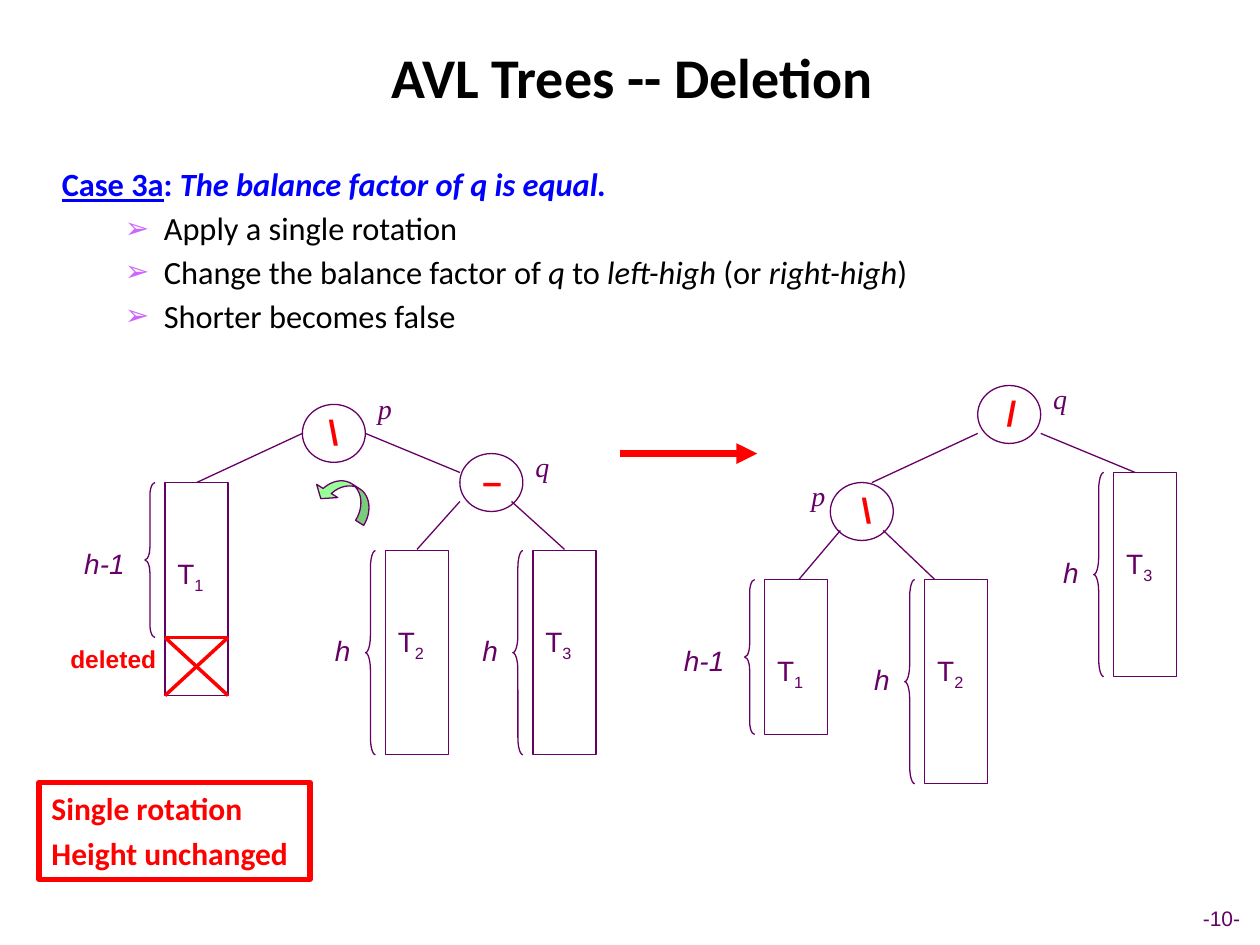
import pptx
import pptx.dml.color
import pptx.enum.shapes
import pptx.enum.text
import pptx.oxml
import pptx.oxml.ns
import pptx.util
from pptx.util import Inches

RGBColor = pptx.dml.color.RGBColor
SHAPE = pptx.enum.shapes.MSO_SHAPE
ALIGN = pptx.enum.text.PP_ALIGN
ANCHOR = pptx.enum.text.MSO_ANCHOR

PURPLE = RGBColor(0x66, 0x00, 0x66)
RED = RGBColor(0xFF, 0x00, 0x00)
BLUE = RGBColor(0x00, 0x00, 0xFF)
GREEN = RGBColor(0x99, 0xFF, 0x99)
BLACK = RGBColor(0x00, 0x00, 0x00)
WHITE = RGBColor(0xFF, 0xFF, 0xFF)

NODE_WIDTH, NODE_HEIGHT = 0.5, 0.46
SUBTREE_WIDTH = 0.5
BRACE_WIDTH = 0.08


def style(font, size, color, name="Arial", bold=False, italic=False):
    font.name, font.size, font.bold, font.italic = name, pptx.util.Pt(size), bold, italic
    font.color.rgb = color


def add_xml(parent, tag, **attributes):
    child = pptx.oxml.parse_xml(f"<a:{tag} {pptx.oxml.ns.nsdecls('a')}/>")
    for key, value in attributes.items():
        child.set(key, value)
    parent.append(child)
    return child


def add_outline(slide, kind, left, top, width, height, fill=None, color=PURPLE, weight=0.75):
    outline = slide.shapes.add_shape(kind, Inches(left), Inches(top), Inches(width), Inches(height))
    outline.shadow.inherit = False
    if fill is None:
        outline.fill.background()
    else:
        outline.fill.solid()
        outline.fill.fore_color.rgb = fill
    outline.line.color.rgb = color
    outline.line.width = pptx.util.Pt(weight)
    return outline


def add_line(slide, start, end, color=PURPLE, weight=0.75):
    line = slide.shapes.add_connector(pptx.enum.shapes.MSO_CONNECTOR.STRAIGHT,
                                      *(Inches(value) for value in (*start, *end)))
    line.line.color.rgb = color
    line.line.width = pptx.util.Pt(weight)
    add_xml(line._element.spPr, "effectLst")
    return line


def add_label(slide, text, left, top, width, size=16, color=PURPLE, subscript="", **font):
    box = slide.shapes.add_textbox(Inches(left), Inches(top), Inches(width), Inches(0.37))
    box.text_frame.word_wrap = True
    paragraph = box.text_frame.paragraphs[0]
    paragraph.add_run().text = text
    if subscript:
        index = paragraph.add_run()
        index.text = subscript
        index._r.get_or_add_rPr().set("baseline", "-25000")
    style(paragraph.font, size, color, **font)
    return box


def add_node(slide, left, top, balance, balance_dx, name, name_dx, name_dy):
    """Circle with its balance symbol inside and its name beside it."""
    add_outline(slide, SHAPE.OVAL, left, top, NODE_WIDTH, NODE_HEIGHT)
    add_label(slide, balance, left + balance_dx, top, 0.42, 20, RED, bold=True)
    add_label(slide, name, left + name_dx, top + name_dy, 0.58,
              name="Times New Roman", italic=True)


def add_subtree(slide, left, top, height, index, depth, brace_height):
    """Tall box T with a brace and its height on the left."""
    add_outline(slide, SHAPE.RECTANGLE, left, top, SUBTREE_WIDTH, height)
    add_label(slide, "T", left, top + 0.54, SUBTREE_WIDTH, subscript=index)
    brace = add_outline(slide, SHAPE.LEFT_BRACE, left - 0.16, top, BRACE_WIDTH, brace_height)
    brace.adjustments[0] = brace_height / 12 / BRACE_WIDTH
    depth_dx, depth_width = (0.5, 0.5) if depth == "h" else (0.74, 0.92)
    add_label(slide, depth, left - depth_dx, top + brace_height * 0.375, depth_width, italic=True)


def add_tree(slide, left, top, nodes, subtrees, edges):
    for x, y, *details in nodes:
        add_node(slide, left + x, top + y, *details)
    for x, y, *details in subtrees:
        add_subtree(slide, left + x, top + y, *details)
    for x1, y1, x2, y2 in edges:
        add_line(slide, (left + x1, top + y1), (left + x2, top + y2))


def add_tree_before(slide, left, top):
    add_tree(
        slide, left, top,
        nodes=[(2, 0.21, "\\", 0.11, "p", 0.5, -0.15), (3.25, 0.6, "–", 0.08, "q", 0.5, -0.08)],
        subtrees=[(0.91, 0.83, 1.69, "1", "h-1", 1.23), (2.66, 1.37, 1.62, "2", "h", 1.62),
                  (3.83, 1.37, 1.62, "3", "h", 1.62)],
        edges=[(2, 0.44, 1.16, 0.83), (2.5, 0.44, 3.25, 0.75),
               (3.25, 0.98, 2.91, 1.36), (3.66, 0.98, 4.08, 1.36)])

    # Crossed-out bottom of T1
    x1, x2, y1, y2 = left + 0.91, left + 1.41, top + 2.06, top + 2.52
    for start, end in (((x1, y1), (x2, y1)), ((x1, y1), (x2, y2)), ((x2, y1), (x1, y2))):
        add_line(slide, start, end, RED, 2)
    add_label(slide, "deleted", left + 0.06, y1, 1.17, 14, RED, bold=True)

    # Direction of rotation
    turn = add_outline(slide, SHAPE.CURVED_RIGHT_ARROW, left + 2.22, top + 0.69, 0.23, 0.5, GREEN)
    turn.rotation = 122
    for position, value in enumerate((0.33, 0.86, 0.34)):
        turn.adjustments[position] = value


def add_tree_after(slide, left, top):
    add_tree(
        slide, left, top,
        nodes=[(2.46, 0.16, "/", 0.13, "q", 0.5, -0.08), (1.29, 0.93, "\\", 0.15, "p", -0.25, -0.08)],
        subtrees=[(0.77, 1.7, 1.23, "1", "h-1", 1.23), (2.04, 1.7, 1.62, "2", "h", 1.62),
                  (3.54, 0.85, 1.62, "3", "h", 1.62)],
        edges=[(2.46, 0.54, 1.62, 0.93), (2.96, 0.54, 3.71, 0.85),
               (1.37, 1.31, 1.04, 1.7), (1.71, 1.31, 2.12, 1.7)])


def place(shape, left, top, width, height):
    shape.left, shape.top = Inches(left), Inches(top)
    shape.width, shape.height = Inches(width), Inches(height)


def fill_title(slide, *box):
    title = slide.shapes.title
    place(title, *box)
    title.text_frame.text = "AVL Trees -- Deletion"
    title.text_frame.vertical_anchor = ANCHOR.MIDDLE
    heading = title.text_frame.paragraphs[0]
    heading.alignment = ALIGN.CENTER
    style(heading.font, 32, BLACK, "Calibri", bold=True)


def fill_steps(slide, *box):
    """Case heading followed by bulleted steps; each run is (text, italic)."""
    body = slide.placeholders[1]
    place(body, *box)
    frame = body.text_frame
    frame.auto_size = pptx.enum.text.MSO_AUTO_SIZE.NONE
    lines = [
        [("Case 3a", False), (": ", False), ("The balance factor of q is equal.", True)],
        [("Apply a single rotation", False)],
        [("Change the balance factor of ", False), ("q ", True), ("to ", False),
         ("left-high", True), (" (or ", False), ("right-high", True), (")", False)],
        [("Shorter becomes false", False)],
    ]
    for number, runs in enumerate(lines):
        step = frame.add_paragraph() if number else frame.paragraphs[0]
        properties = step._p.get_or_add_pPr()
        margin, indent = (0.81, -0.31) if number else (0.38, -0.38)
        properties.set("marL", str(Inches(margin)))
        properties.set("indent", str(Inches(indent)))
        if number:
            step.level = 1
            add_xml(add_xml(properties, "buClr"), "srgbClr", val="CC66FF")
            add_xml(properties, "buSzPct", val="90000")
            add_xml(properties, "buChar", char="➢")
        else:
            add_xml(properties, "buNone")
        step.line_spacing = 0.9
        step.space_before = pptx.util.Pt(5 if number else 0)
        style(step.font, 18.5, BLACK if number else BLUE, "Calibri", bold=not number)
        for text, italic in runs:
            run = step.add_run()
            run.text = text
            run.font.italic = italic
    frame.paragraphs[0].runs[0].font.underline = True


def add_summary(slide, *box):
    summary = add_outline(slide, SHAPE.RECTANGLE, *box, WHITE, RED, 3)
    frame = summary.text_frame
    frame.vertical_anchor = ANCHOR.TOP
    frame.text = "Single rotation\nHeight unchanged"
    for number, paragraph in enumerate(frame.paragraphs):
        paragraph.alignment = ALIGN.LEFT
        paragraph.space_before = pptx.util.Pt(4.5 if number else 0)
        style(paragraph.font, 18, RED, "Calibri", bold=True)


def main():
    deck = pptx.Presentation()
    deck.slide_width, deck.slide_height = Inches(10), Inches(7.5)
    slide = deck.slides.add_slide(deck.slide_layouts[1])

    fill_title(slide, 0.38, 0.13, 9.27, 0.95)
    fill_steps(slide, 0.39, 1.29, 8.38, 1.62)
    add_summary(slide, 0.31, 6.21, 2.15, 0.77)

    # Trees before and after the rotation
    add_tree_before(slide, 0.4, 3)
    arrow = add_line(slide, (4.92, 3.6), (6.01, 3.6), RED, 4)
    add_xml(arrow.line._get_or_add_ln(), "tailEnd", type="triangle")
    add_tree_after(slide, 5.3, 2.9)

    # Page number
    page = add_label(slide, "-10-", 9.16, 7.1, 1.07, 12)
    page.text_frame.vertical_anchor = ANCHOR.MIDDLE
    page.text_frame.word_wrap = False
    page.text_frame.paragraphs[0].alignment = ALIGN.CENTER

    deck.save("out.pptx")


if __name__ == "__main__":
    main()
